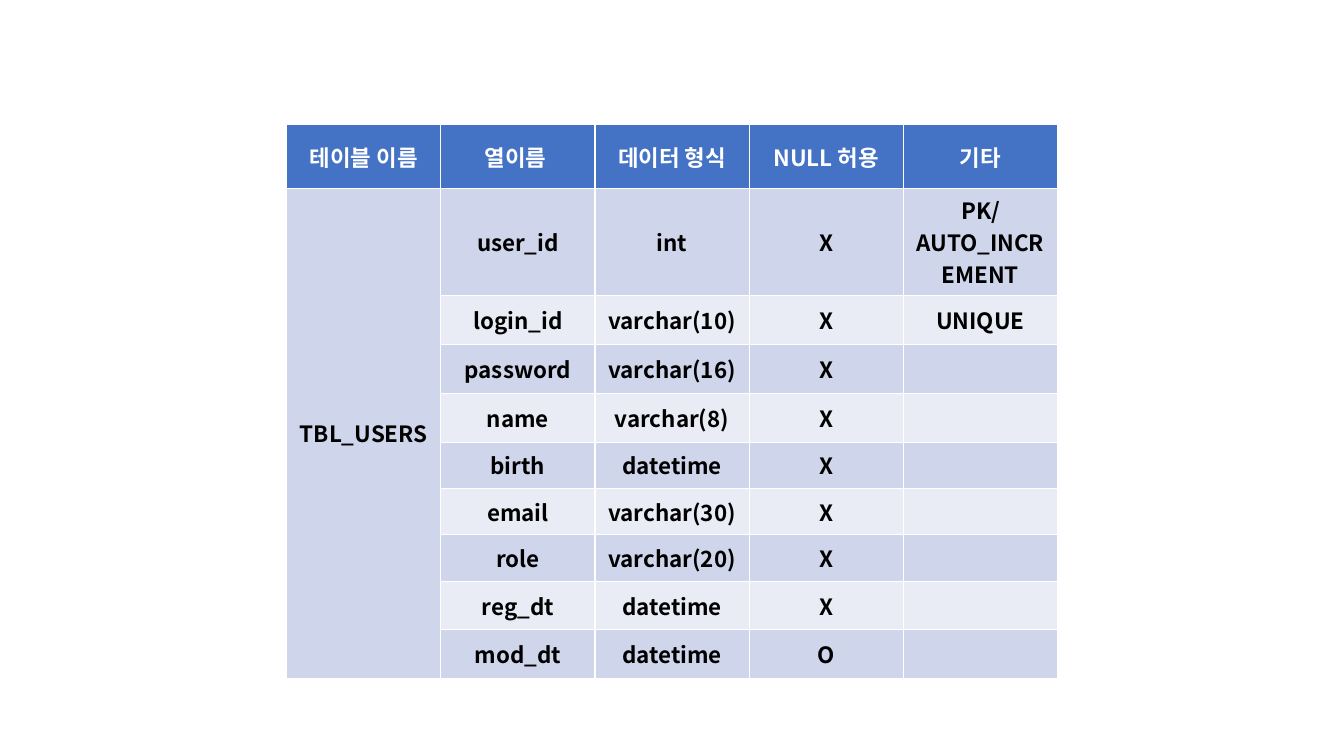
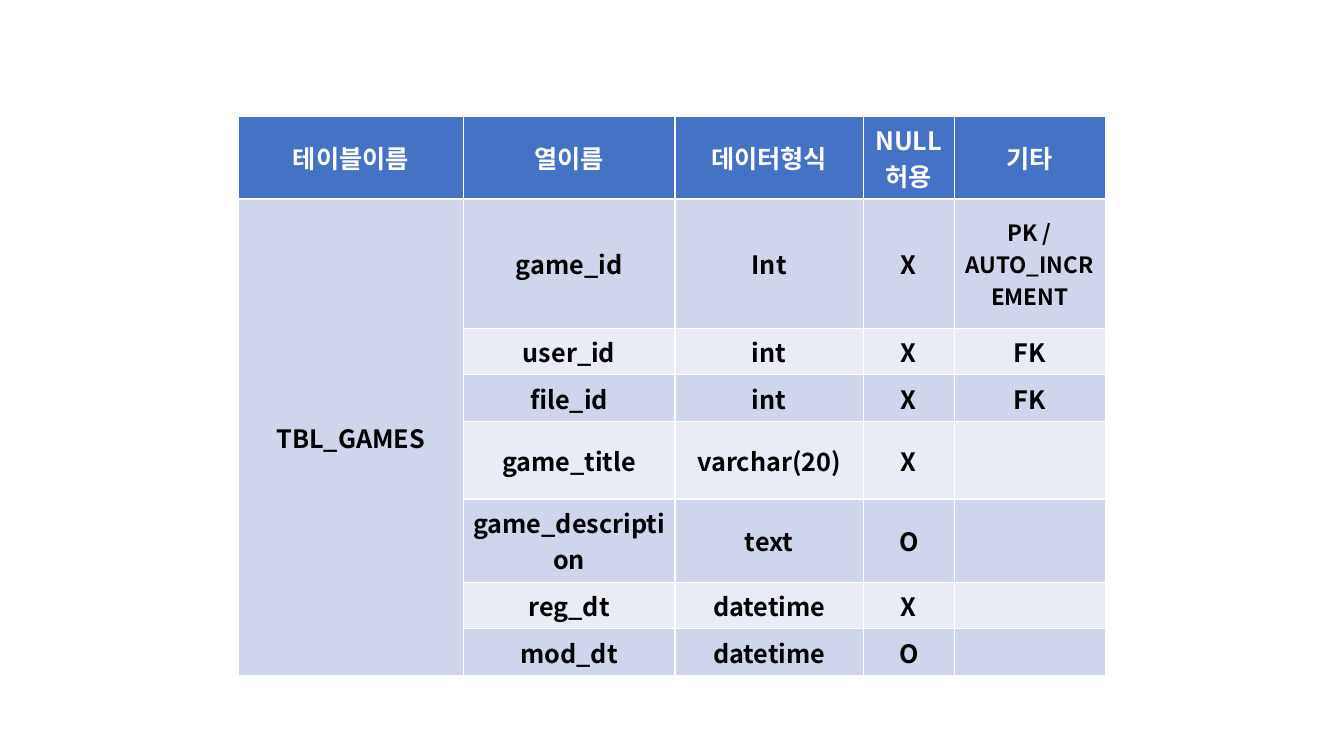
"""Build two slides that each describe the columns of a database table."""
from lxml.etree import SubElement
from pptx import Presentation
from pptx.dml.color import RGBColor
from pptx.enum.text import MSO_ANCHOR, PP_ALIGN
from pptx.oxml.ns import qn
from pptx.util import Pt

FONT = "Noto Sans CJK KR"
COLORS = {"header": "4472C4", "odd": "CFD5EA", "even": "E9EBF5",
          "header_text": "FFFFFF", "body_text": "000000"}

TABLES = [
    {
        "left": 204.8, "top": 89, "size": 16, "sizes": {},
        "cols": [110.1] * 5,
        "rows": [45.5, 54, 35, 35, 35, 33, 33, 33.4, 34.6, 34.6],
        "cells": [
            ["테이블 이름", "열이름 ", "데이터 형식", "NULL 허용", "기타"],
            ["TBL_USERS", "user_id", "int", "X", "PK/AUTO_INCREMENT"],
            ["", "login_id", "varchar(10)", "X", "UNIQUE"],
            ["", "password", "varchar(16)", "X", ""],
            ["", "name", "varchar(8)", "X", ""],
            ["", "birth", "datetime", "X", ""],
            ["", "email", "varchar(30)", "X", ""],
            ["", "role", "varchar(20)", "X", ""],
            ["", "reg_dt", "datetime", "X", ""],
            ["", "mod_dt", "datetime", "O", ""],
        ],
    },
    {
        "left": 170.3, "top": 82.8, "size": 18, "sizes": {(1, 4): 16},
        "cols": [160.5, 151.4, 134.4, 65, 107.8],
        "rows": [50.4, 92.4, 32, 32, 55.4, 55.4, 32, 32],
        "cells": [
            ["테이블이름", "열이름", "데이터형식", "NULL허용", "기타"],
            ["TBL_GAMES", "game_id", "Int", "X", "PK / AUTO_INCREMENT"],
            ["", "user_id", "int", "X", "FK"],
            ["", "file_id", "int", "X", "FK"],
            ["", "game_title", "varchar(20)", "X", ""],
            ["", "game_description", "text", "O", ""],
            ["", "reg_dt", "datetime", "X", ""],
            ["", "mod_dt", "datetime", "O", ""],
        ],
    },
]


def fill_cell(cell, text, size, fill, color):
    cell.fill.solid()
    cell.fill.fore_color.rgb = RGBColor.from_string(COLORS[fill])
    cell.vertical_anchor = MSO_ANCHOR.MIDDLE
    p = cell.text_frame.paragraphs[0]
    p.alignment = PP_ALIGN.CENTER
    if text:
        r = p.add_run()
        r.text = text
        for name, value in {"size": Pt(size), "name": FONT, "bold": True}.items():
            setattr(r.font, name, value)
        r.font.color.rgb = RGBColor.from_string(COLORS[color])
        SubElement(r.font._element, qn("a:ea"), typeface=FONT)


prs = Presentation()
prs.slide_width, prs.slide_height = Pt(960), Pt(540)

for spec in TABLES:
    s = prs.slides.add_slide(prs.slide_layouts[6])
    rows, cols = spec["rows"], spec["cols"]
    table = s.shapes.add_table(len(rows), len(cols), Pt(spec["left"]), Pt(spec["top"]),
                               Pt(sum(cols)), Pt(sum(rows))).table
    for column, width in zip(table.columns, cols):
        column.width = Pt(width)
    for row, height in zip(table.rows, rows):
        row.height = Pt(height)
    for i, texts in enumerate(spec["cells"]):
        fill = "header" if i == 0 else "odd" if i % 2 else "even"
        color = "body_text" if i else "header_text"
        for j, text in enumerate(texts):
            size = spec["sizes"].get((i, j), spec["size"])
            fill_cell(table.cell(i, j), text, size, fill, color)
    table.cell(1, 0).merge(table.cell(len(rows) - 1, 0))

prs.save("out.pptx")
